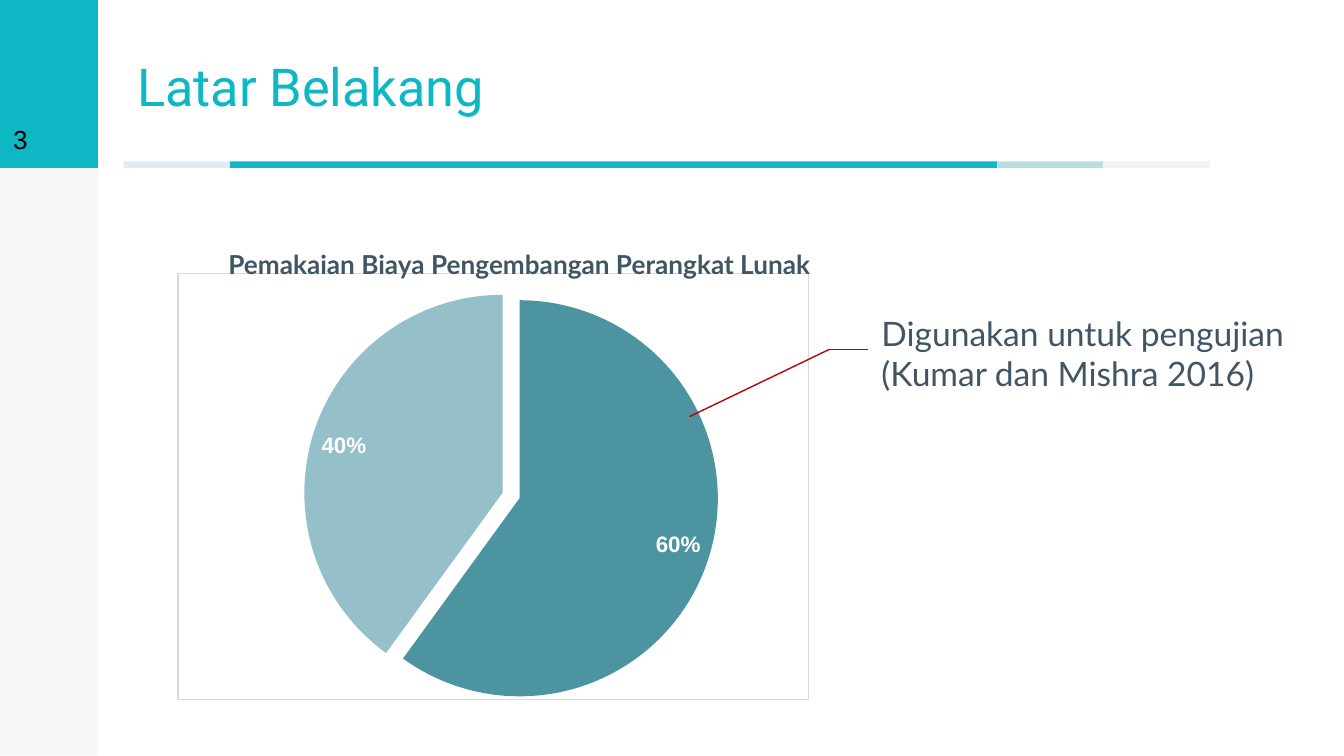
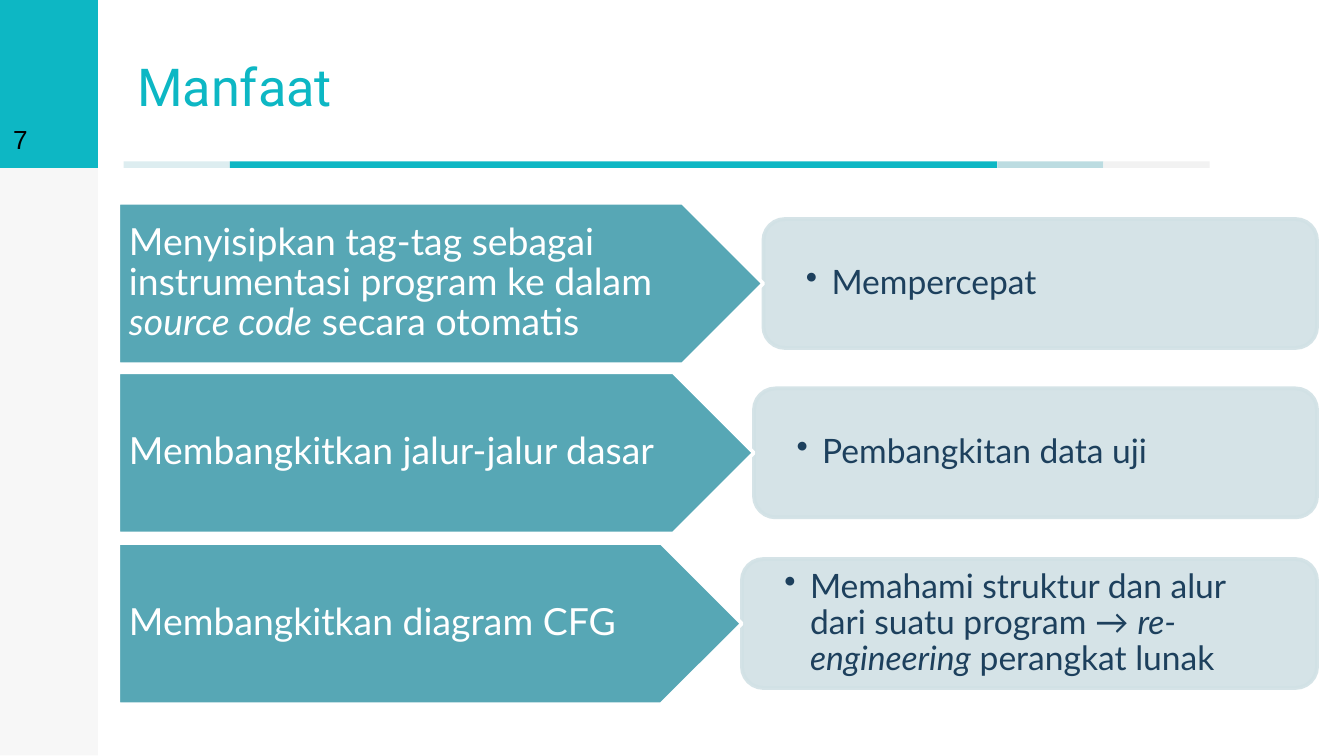
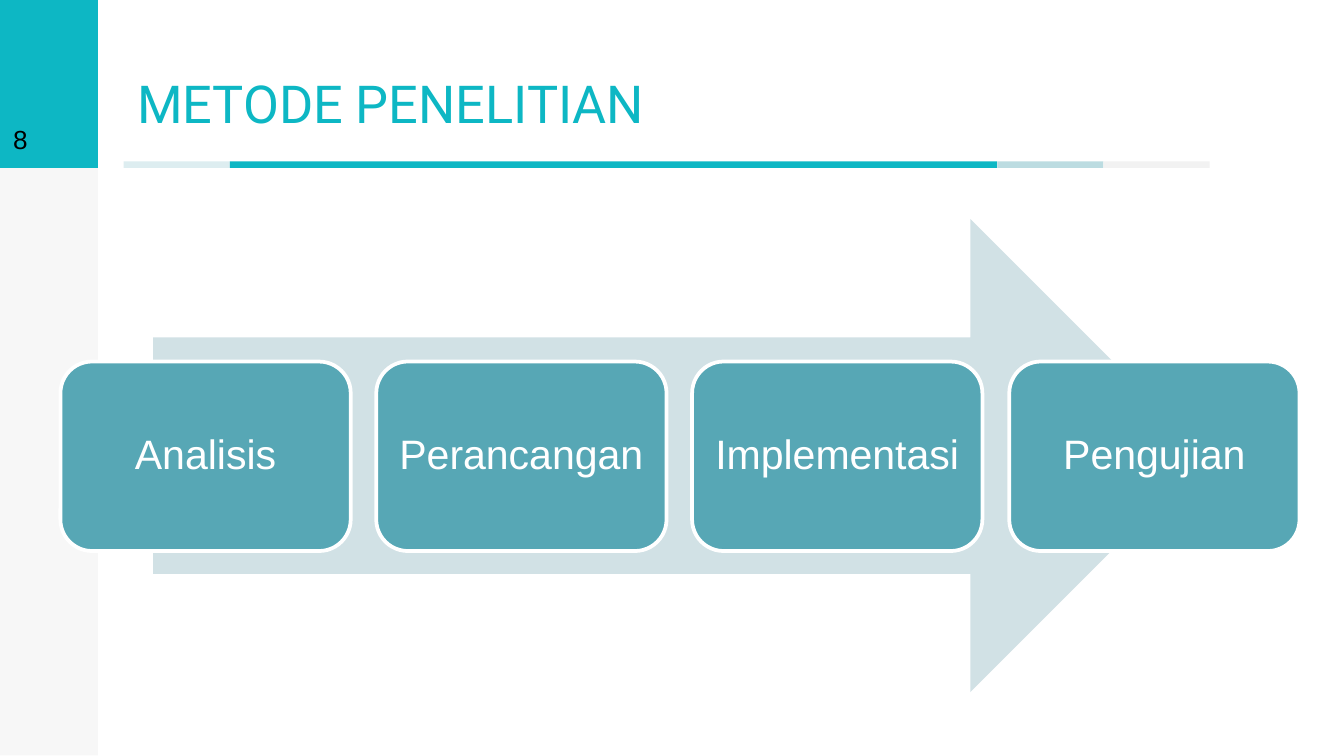
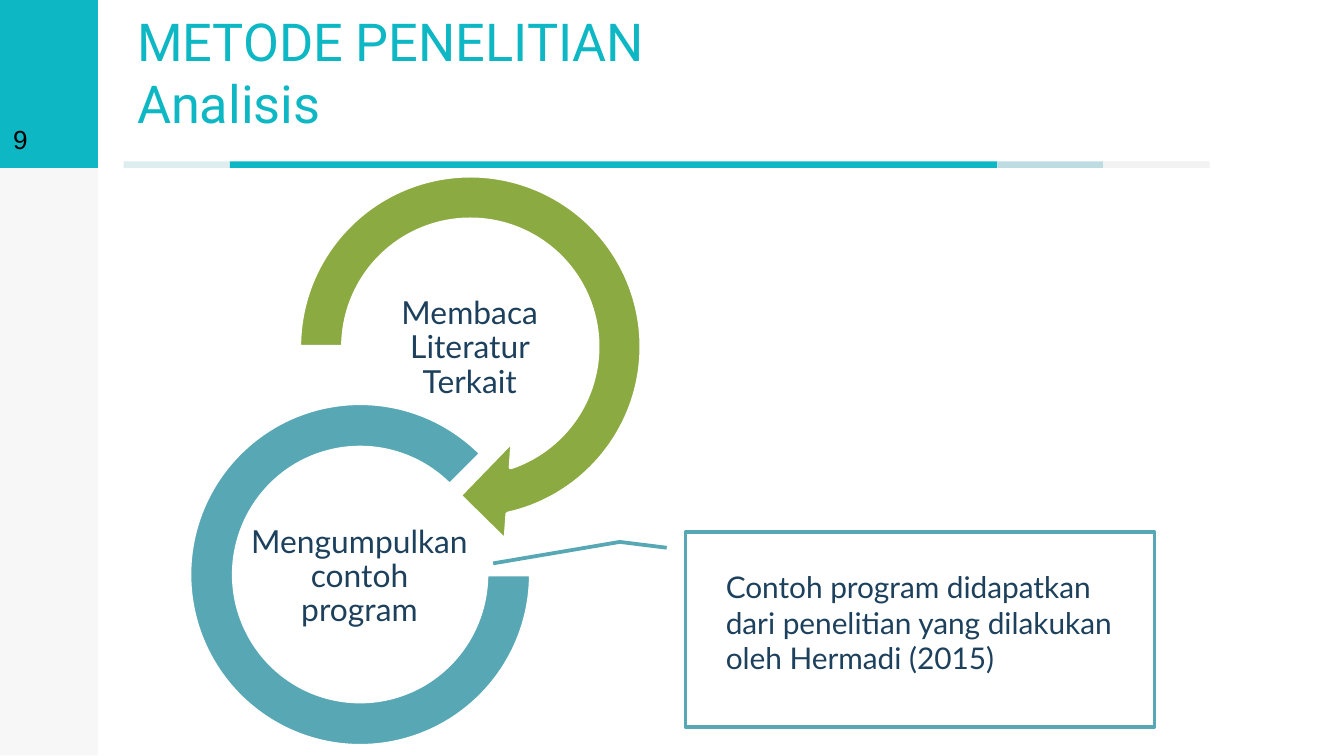
import lxml.etree
import pptx
import pptx.chart.data
import pptx.dml.color
import pptx.enum.chart
import pptx.enum.shapes
import pptx.enum.text
import pptx.oxml.ns
import pptx.util

EMU_PER_PX = 9144  # 100 px to the inch

COLOURS = {
    "brand": "0DB7C4",
    "band_pale": "DDEDF0",
    "band_mid": "BCDCE1",
    "band_grey": "F2F2F2",
    "black": "000000",
    "white": "FFFFFF",
    "slate": "415665",
    "navy": "1D405D",
    "teal": "57A7B5",
    "mist": "D1E1E5",
    "green": "8BAB42",
    "red": "C00000",
    "pie_dark": "4D94A1",
    "pie_light": "96C0C9",
    "frame": "D9D9D9",
}
BANDS = [("band_pale", 79), ("brand", 571), ("band_mid", 79), ("band_grey", 79)]

SHAPE = pptx.enum.shapes.MSO_SHAPE
ALIGN = pptx.enum.text.PP_ALIGN
ANCHOR = pptx.enum.text.MSO_ANCHOR
qn = pptx.oxml.ns.qn


def px(*lengths):
    return [pptx.util.Emu(length * EMU_PER_PX) for length in lengths]


def rgb(name):
    return pptx.dml.color.RGBColor.from_string(COLOURS[name])


def add_xml(parent, tag, **attributes):
    return lxml.etree.SubElement(parent, qn(tag), attributes)


def write(frame, text, size=18, font="Lato", colour="navy", bold=None, align=ALIGN.LEFT,
          anchor=ANCHOR.TOP, inset=(10, 10, 10, 10), spacing=None, bullet=False, wrap=True):
    """Fill a frame: a line feed breaks the line, asterisks enclose italics."""
    frame.word_wrap = wrap
    frame.auto_size = pptx.enum.text.MSO_AUTO_SIZE.NONE
    frame.vertical_anchor = anchor
    (frame.margin_left, frame.margin_top,
     frame.margin_right, frame.margin_bottom) = px(*inset)
    para = frame.paragraphs[0]
    para.alignment = align
    if spacing:
        para.line_spacing = spacing
    if bullet:
        indent = 19 * EMU_PER_PX
        properties = para._p.get_or_add_pPr()
        properties.set("marL", str(indent))
        properties.set("indent", str(-indent))
        add_xml(properties, "a:buChar", char="•")
    for row, line in enumerate(text.split("\n")):
        if row:
            para.add_line_break()
        for part, words in enumerate(line.split("*")):
            if not words:
                continue
            span = para.add_run()
            span.text = words
            span.font.size = pptx.util.Pt(size)
            span.font.name = font
            span.font.bold = bold
            span.font.italic = part % 2 == 1
            span.font.color.rgb = rgb(colour)


class Presenter:
    """Holds the deck, its style and the current page."""

    def __init__(self):
        self.deck = pptx.Presentation()
        self.deck.slide_width = px(1000)[0]
        self.deck.slide_height = self.deck.slide_width * 9 // 16
        self.page = None

    def start_page(self, number, title, title_top):
        self.page = self.deck.slides.add_slide(self.deck.slide_layouts[5])
        self.shape(SHAPE.RECTANGLE, 0, 0, 73, 562, "black", opacity=3)
        corner = self.shape(SHAPE.RECTANGLE, 0, 0, 73, 125, "brand")
        write(corner.text_frame, str(number), size=14, font="Arial", colour="black",
              anchor=ANCHOR.BOTTOM)
        left = 92
        for colour, width in BANDS:
            self.shape(SHAPE.RECTANGLE, left, 120, width, 5, colour)
            left += width
        box = self.page.shapes.title
        box.left, box.top, box.width, box.height = px(92, title_top, 875, 96)
        write(box.text_frame, title, size=28, font="Roboto", colour="brand",
              anchor=ANCHOR.BOTTOM)

    def shape(self, kind, left, top, width, height, fill, line=None, opacity=None,
              adjustments=()):
        shape = self.page.shapes.add_shape(kind, *px(left, top, width, height))
        shape.shadow.inherit = False
        shape.fill.solid()
        shape.fill.fore_color.rgb = rgb(fill)
        if line:
            shape.line.color.rgb = rgb(line)
            shape.line.width = pptx.util.Pt(2)
        else:
            shape.line.fill.background()
        for index, value in enumerate(adjustments):
            shape.adjustments[index] = value
        if opacity:
            for colour in shape.element.spPr.iter(qn("a:srgbClr")):
                add_xml(colour, "a:alpha", val=str(opacity * 1000))
        return shape

    def text(self, left, top, width, height, text, **style):
        box = self.page.shapes.add_textbox(*px(left, top, width, height))
        write(box.text_frame, text, **style)

    def polyline(self, points, colour):
        for start, end in zip(points, points[1:]):
            line = self.page.shapes.add_connector(
                pptx.enum.shapes.MSO_CONNECTOR.STRAIGHT, *px(*start, *end))
            line.line.color.rgb = rgb(colour)
            line.line.width = pptx.util.Pt(0.75)
            add_xml(line.element.spPr, "a:effectLst")

    def pie(self, left, top, width, height, slices, plot):
        """Draw a pie with its first slice pulled out; slices are (name, value, colour)."""
        data = pptx.chart.data.CategoryChartData()
        data.categories = [name for name, _, _ in slices]
        data.add_series("Series 1", [value for _, value, _ in slices])
        chart = self.page.shapes.add_chart(
            pptx.enum.chart.XL_CHART_TYPE.PIE, *px(left, top, width, height), data).chart
        chart.has_title = False
        chart.has_legend = False
        chart.font.name = "Arial"
        chart.font.size = pptx.util.Pt(10)
        chart.font.color.rgb = rgb("black")

        pie = chart.plots[0]
        pie.vary_by_categories = True
        for index, (_, _, colour) in enumerate(slices):
            fill = pie.series[0].points[index].format.fill
            fill.solid()
            fill.fore_color.rgb = rgb(colour)
        first_slice = next(chart.element.iter(qn("c:dPt")))
        explosion = add_xml(first_slice, "c:explosion", val="9")
        first_slice.find(qn("c:spPr")).addprevious(explosion)

        labels = pie.series[0].data_labels
        labels.show_percentage = True
        labels.show_value = False
        labels.number_format = "0%"
        labels.number_format_is_linked = False
        labels.position = pptx.enum.chart.XL_LABEL_POSITION.INSIDE_END
        labels.font.name = "Arial"
        labels.font.size = pptx.util.Pt(12)
        labels.font.bold = True
        labels.font.color.rgb = rgb("white")

        area = next(chart.element.iter(qn("c:plotArea")))
        for layout in area.findall(qn("c:layout")):
            area.remove(layout)
        layout = add_xml(area, "c:layout")
        area.insert(0, layout)
        manual = add_xml(layout, "c:manualLayout")
        add_xml(manual, "c:layoutTarget", val="inner")
        for side in "xy":
            add_xml(manual, f"c:{side}Mode", val="edge")
        for side, share in zip("xywh", plot):
            add_xml(manual, f"c:{side}", val=str(share))

        frame = add_xml(chart.element, "c:spPr")
        chart.element.find(qn("c:chart")).addnext(frame)
        outline = add_xml(frame, "a:ln", w=str(pptx.util.Pt(0.75)))
        add_xml(add_xml(outline, "a:solidFill"), "a:srgbClr", val=COLOURS["frame"])


def background_page(show):
    show.start_page(3, "Latar Belakang", 1)
    show.text(646, 223, 354, 183, "Digunakan untuk pengujian\n(Kumar dan Mishra 2016)",
              colour="slate")
    show.pie(132, 203, 470, 318, [("1", 60, "pie_dark"), ("2", 40, "pie_light")],
             plot=(0.04, 0.05, 0.95, 0.93))
    show.polyline([(513, 310), (617, 260), (646, 260)], "red")
    show.text(160, 180, 461, 34, "Pemakaian Biaya Pengembangan Perangkat Lunak", size=14,
              colour="slate", bold=True, inset=(10, 5, 10, 5), wrap=False)


def benefits_page(show):
    show.start_page(7, "Manfaat", 1)
    benefits = [
        (568, "Menyisipkan tag-tag sebagai instrumentasi program ke dalam "
              "*source code* secara otomatis", "Mempercepat"),
        (561, "Membangkitkan jalur-jalur dasar", "Pembangkitan data uji"),
        (552, "Membangkitkan diagram CFG",
         "Memahami struktur dan alur dari suatu program → *re-engineering* perangkat lunak"),
    ]
    left, right = 88, 980
    for row, (tip, feature, benefit) in enumerate(benefits):
        top = 151 + 253 * row // 2
        card = show.shape(SHAPE.ROUNDED_RECTANGLE, tip, top + 12, right - tip, 96, "mist",
                          line="mist", opacity=90)
        write(card.text_frame, benefit, anchor=ANCHOR.MIDDLE, inset=(27, 9, 27, 9),
              spacing=0.9, bullet=True)
        arrow = show.shape(SHAPE.PENTAGON, left, top, tip - left, 120, "teal", line="white")
        write(arrow.text_frame, feature, size=20, colour="white", anchor=ANCHOR.MIDDLE,
              inset=(8, 4, 8, 4), spacing=0.9)


def method_page(show):
    show.start_page(8, "METODE PENELITIAN", 14)
    show.shape(SHAPE.RIGHT_ARROW, 114, 163, 784, 352, "mist")
    for column, step in enumerate(["Analisis", "Perancangan", "Implementasi", "Pengujian"]):
        box = show.shape(SHAPE.ROUNDED_RECTANGLE, 45 + 706 * column // 3, 269, 216, 141,
                         "teal", line="white")
        write(box.text_frame, step, size=22, font="Arial", colour="white",
              align=ALIGN.CENTER, anchor=ANCHOR.MIDDLE, inset=(8, 8, 8, 8), spacing=0.9)


def analysis_page(show):
    show.start_page(9, "METODE PENELITIAN\nAnalisis", 14)
    ring_label = dict(size=17, align=ALIGN.CENTER, anchor=ANCHOR.MIDDLE,
                      inset=(1, 1, 1, 1), spacing=0.9)
    show.shape(SHAPE.CIRCULAR_ARROW, 202, 110, 296, 296, "green", line="white",
               adjustments=(0.11, 11.42, 45, 108, 0.125))
    show.text(267, 218, 165, 83, "Membaca Literatur Terkait", **ring_label)
    show.shape(SHAPE.BLOCK_ARC, 141, 300, 254, 255, "teal", line="white",
               adjustments=(0, 189, 0.13))
    show.text(185, 388, 165, 83, "Mengumpulkan contoh program", **ring_label)
    note = show.shape(SHAPE.LINE_CALLOUT_2, 510, 396, 349, 145, "white", line="teal",
                      adjustments=(0.08, -0.04, 0.05, -0.14, 0.16, -0.41))
    write(note.text_frame, "Contoh program didapatkan dari penelitian yang dilakukan "
          "oleh Hermadi (2015)", size=16, inset=(30, 27, 20, 5))


def main():
    show = Presenter()
    for build in (background_page, benefits_page, method_page, analysis_page):
        build(show)
    show.deck.save("out.pptx")


if __name__ == "__main__":
    main()
